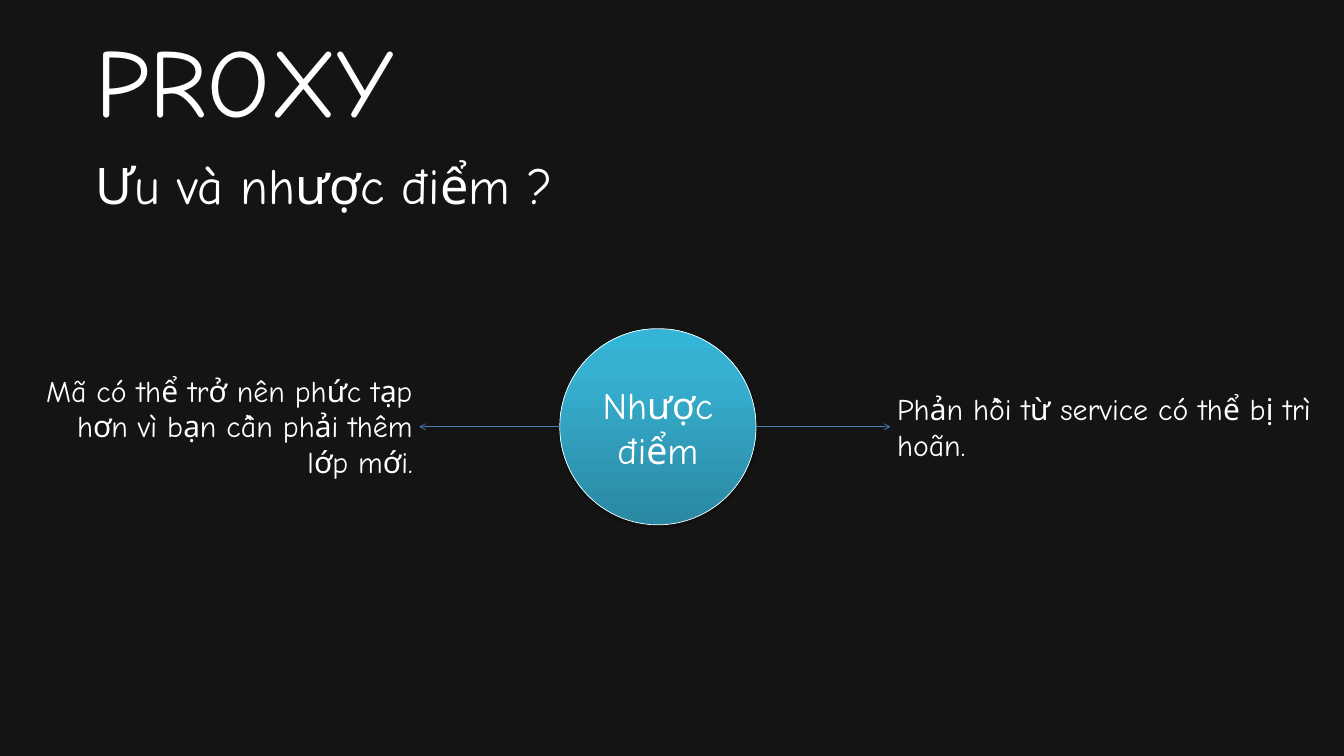
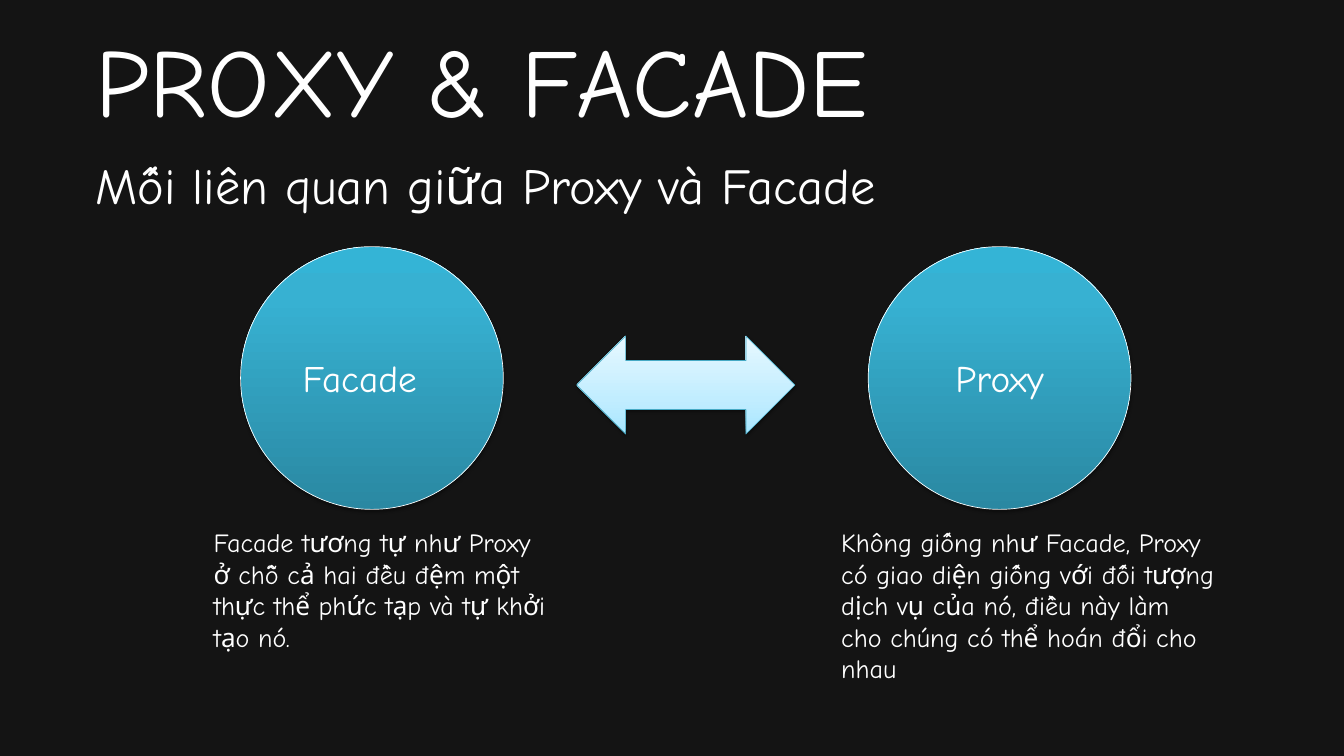
from dataclasses import dataclass

from lxml.etree import SubElement
from pptx import Presentation
from pptx.dml.color import RGBColor
from pptx.enum.shapes import MSO_CONNECTOR, MSO_SHAPE
from pptx.enum.text import MSO_ANCHOR, MSO_AUTO_SIZE, PP_ALIGN
from pptx.oxml.ns import qn
from pptx.util import Inches, Pt

DRAWBACKS = {
    "title": "PROXY",
    "subtitle": "Ưu và nhược điểm ?",
    "hub": "Nhược điểm",
    "left": "Mã có thể trở nên phức tạp hơn vì bạn cần phải thêm lớp mới.",
    "right": "Phản hồi từ service có thể bị trì hoãn.",
}
COMPARISON = {
    "title": "PROXY & FACADE",
    "subtitle": "Mối liên quan giữa Proxy và Facade",
    # label, circle left, label shift to the left, caption, caption width, caption height
    "patterns": [
        ("Facade", 3.58, 0.18,
         "Facade tương tự như Proxy ở chỗ cả hai đều đệm một thực thể phức tạp "
         "và tự khởi tạo nó.", 5.24, 1.98),
        ("Proxy", 12.92, 0,
         "Không giống như Facade, Proxy có giao diện giống với đối tượng dịch vụ "
         "của nó, điều này làm cho chúng có thể hoán đổi cho nhau", 5.75, 2.46),
    ],
}


@dataclass(frozen=True)
class Theme:
    font: str = "Comic Neue"
    background: str = "141414"
    text: str = "FFFFFF"
    connector: str = "4B7EBC"
    arrow_outline: str = "46AAC5"
    circle_stops: tuple = ((0, "2A88A2"), (80, "37B1D2"), (100, "34B4D6"))
    arrow_stops: tuple = ((0, "A7E6FF"), (35, "C1EDFF"), (100, "E7F8FF"))
    title_size: int = 104
    subtitle_size: int = 54
    label_size: int = 40
    note_size: int = 32
    caption_size: int = 28
    heading_spacing: int = 90
    line_width: float = 0.75


THEME = Theme()


def color(value):
    return RGBColor.from_string(value)


def write(frame, text, size, align=PP_ALIGN.LEFT, spacing=None):
    frame.word_wrap = True
    paragraph = frame.paragraphs[0]
    paragraph.text = text
    paragraph.alignment = align
    if spacing:
        paragraph.line_spacing = Pt(spacing)
    font = paragraph.runs[0].font
    font.name, font.size = THEME.font, Pt(size)
    font.color.rgb = color(THEME.text)


def add_text(slide, text, left, top, width, height, inset=True, **text_format):
    box = slide.shapes.add_textbox(*map(Inches, (left, top, width, height)))
    frame = box.text_frame
    if not inset:
        frame.margin_left = frame.margin_right = frame.margin_top = frame.margin_bottom = 0
    write(frame, text, **text_format)
    frame.auto_size = MSO_AUTO_SIZE.SHAPE_TO_FIT_TEXT


def add_glossy_shape(slide, preset, left, top, width, height, stops, outline,
                     shadow_alpha, shadow_distance):
    """Add a shape with an upward gradient, a thin outline and a soft shadow."""
    shape = slide.shapes.add_shape(preset, *map(Inches, (left, top, width, height)))
    shape.fill.gradient()
    shape.fill.gradient_angle = 90
    properties = shape._element.spPr
    stop_list = properties.find(".//" + qn("a:gsLst"))
    for stop in list(stop_list):
        stop_list.remove(stop)
    for position, value in stops:
        stop = SubElement(stop_list, qn("a:gs"), pos=str(position * 1000))
        SubElement(stop, qn("a:srgbClr"), val=value)
    shape.line.color.rgb = color(outline)
    shape.line.width = Pt(THEME.line_width)

    shape.shadow.inherit = False
    shadow = SubElement(
        properties.find(qn("a:effectLst")), qn("a:outerShdw"),
        blurRad=str(Pt(3.1)), dist=str(Pt(shadow_distance)), dir="5400000", rotWithShape="0")
    shadow_color = SubElement(shadow, qn("a:srgbClr"), val="000000")
    SubElement(shadow_color, qn("a:alpha"), val=str(shadow_alpha * 1000))
    return shape


def add_circle(slide, label, left, top, diameter, label_shift=0):
    circle = add_glossy_shape(slide, MSO_SHAPE.OVAL, left, top, diameter, diameter,
                              THEME.circle_stops, THEME.text, 35, 1.8)
    frame = circle.text_frame
    frame.vertical_anchor = MSO_ANCHOR.MIDDLE
    frame.margin_right = Inches(0.1 + 2 * label_shift)
    write(frame, label, THEME.label_size, PP_ALIGN.CENTER)


def add_arrow(slide, start, end, y):
    connector = slide.shapes.add_connector(
        MSO_CONNECTOR.STRAIGHT, *map(Inches, (start, y, end, y)))
    connector.line.color.rgb = color(THEME.connector)
    connector.line.width = Pt(THEME.line_width)
    SubElement(connector.line._get_or_add_ln(), qn("a:tailEnd"), type="arrow")
    SubElement(connector._element.spPr, qn("a:effectLst"))


def add_slide(presentation, content):
    """Add a dark blank slide with its title and subtitle."""
    slide = presentation.slides.add_slide(presentation.slide_layouts[6])
    fill = slide.background.fill
    fill.solid()
    fill.fore_color.rgb = color(THEME.background)
    for key, top, size in (("title", 0.79, THEME.title_size),
                           ("subtitle", 1.95, THEME.subtitle_size)):
        add_text(slide, content[key], 1.42, top, 16.99, 1.26, inset=False,
                 size=size, spacing=THEME.heading_spacing)
    return slide


def build_drawbacks(presentation):
    slide = add_slide(presentation, DRAWBACKS)
    hub_left, diameter, middle = 8.33, 2.92, 6.35
    hub_right = hub_left + diameter
    left_edge, right_edge = 6.24, 13.25
    add_circle(slide, DRAWBACKS["hub"], hub_left, middle - diameter / 2, diameter)
    add_arrow(slide, hub_right, right_edge, middle)
    add_arrow(slide, hub_left, left_edge, middle)
    for key, left, width, height, align in (
            ("left", left_edge - 5.91, 5.91, 1.72, PP_ALIGN.RIGHT),
            ("right", right_edge, 6.55, 1.18, PP_ALIGN.LEFT)):
        add_text(slide, DRAWBACKS[key], left, middle - height / 2, width, height,
                 size=THEME.note_size, align=align)


def build_comparison(presentation):
    slide = add_slide(presentation, COMPARISON)
    top, diameter = 3.67, 3.91
    for label, left, shift, caption, width, height in COMPARISON["patterns"]:
        add_circle(slide, label, left, top, diameter, shift)
        add_text(slide, caption, left - 0.5, top + diameter + 0.21, width, height,
                 size=THEME.caption_size)
    add_glossy_shape(slide, MSO_SHAPE.LEFT_RIGHT_ARROW, 8.58, 5, 3.25, 1.46,
                     THEME.arrow_stops, THEME.arrow_outline, 38, 1.6)


def main():
    presentation = Presentation()
    presentation.slide_width = Inches(20)
    presentation.slide_height = Inches(11.25)
    build_drawbacks(presentation)
    build_comparison(presentation)
    presentation.save("out.pptx")


if __name__ == "__main__":
    main()
